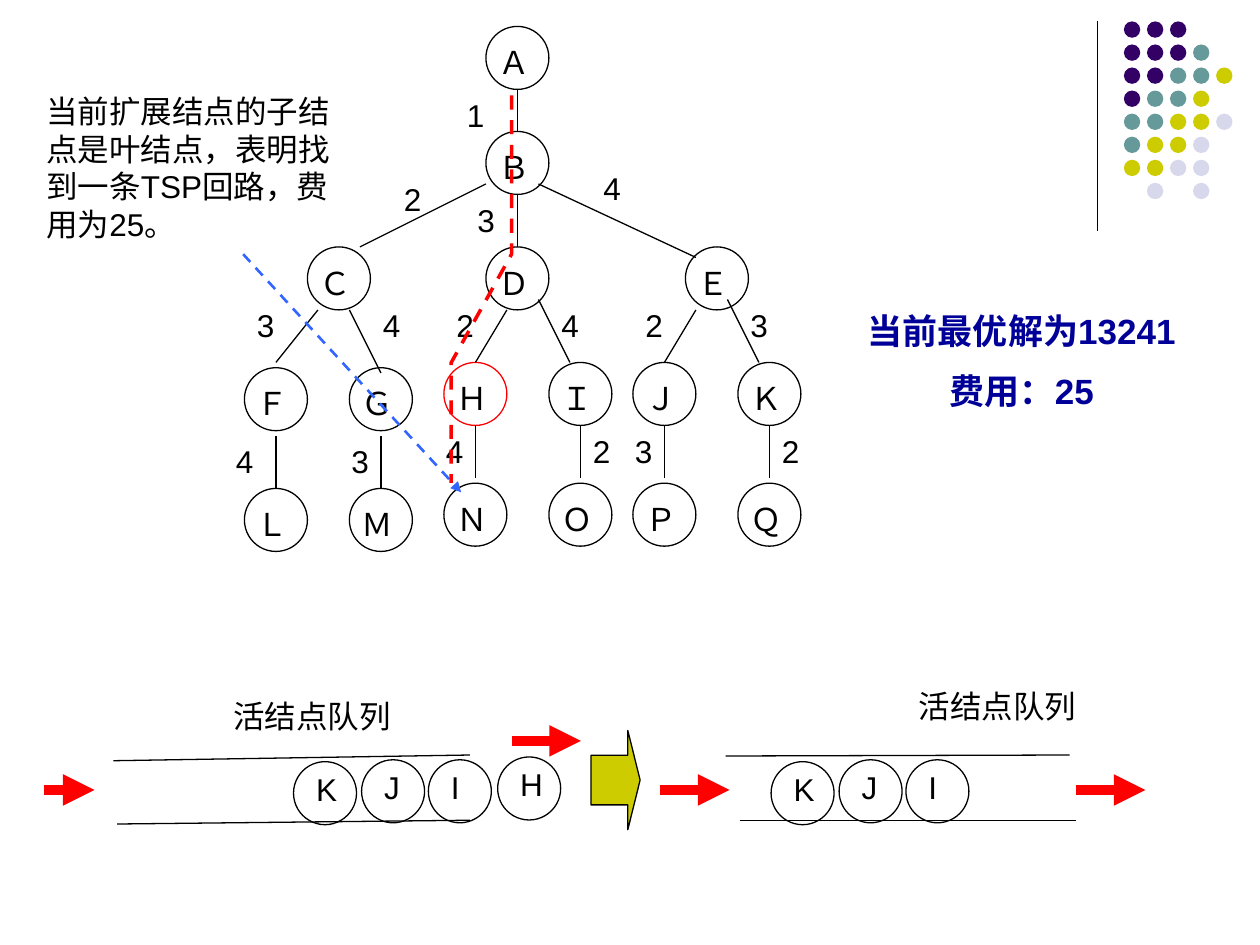
"""Draw a branch-and-bound search tree for TSP with its live-node queues."""
from dataclasses import dataclass

from lxml import etree
from pptx import Presentation
from pptx.dml.color import RGBColor
from pptx.enum.dml import MSO_LINE
from pptx.enum.shapes import MSO_CONNECTOR, MSO_SHAPE
from pptx.enum.text import MSO_AUTO_SIZE, PP_ALIGN
from pptx.oxml.ns import qn
from pptx.util import Emu, Inches, Pt

STRAIGHT = MSO_CONNECTOR.STRAIGHT
OVAL, BLOCK_ARROW = MSO_SHAPE.OVAL, MSO_SHAPE.RIGHT_ARROW
DASH = MSO_LINE.DASH
LEFT, CENTER = PP_ALIGN.LEFT, PP_ALIGN.CENTER
GROW = MSO_AUTO_SIZE.SHAPE_TO_FIT_TEXT
FONT = "Arial"
COLORS = {"black": "000000", "red": "FF0000", "blue": "3366FF", "navy": "000099",
          "purple": "330066", "teal": "669999", "olive": "CCCC00", "lilac": "D8D8EC"}


@dataclass(frozen=True)
class Grid:
    left: float
    top: float
    column: float
    row: float

    def point(self, x: float, y: float) -> tuple[Emu, Emu]:
        return Inches(self.left + x * self.column), Inches(self.top + y * self.row)

    def size(self, width: float, height: float) -> tuple[Emu, Emu]:
        return Inches(width * self.column), Inches(height * self.row)


@dataclass(frozen=True)
class Node:
    letter: str
    x: float
    y: float
    color: str = "black"


@dataclass(frozen=True)
class Line:
    start: tuple[float, float]
    end: tuple[float, float]
    color: str = "black"
    width: float = 0.75
    dashed: bool = False
    arrow: bool = False


@dataclass(frozen=True)
class Label:
    text: str
    x: float
    y: float
    width: float
    height: float
    align: int = LEFT
    size: int = 18
    color: str = "black"
    bold: bool = False


PERCENT = Grid(0, 0, 0.1, 0.075)
TREE = Grid(1.94, 0.21, 1 / 12, 1 / 12)
DOTS = Grid(8.92, 0.17, 0.183, 0.183)

DOT_ROWS = ["ppp", "pppt", "pptto", "ptto", "ttool", "tool", "ooll", " l l"]
DOT_COLORS = {"p": "purple", "t": "teal", "o": "olive", "l": "lilac"}

TREE_NODES = [
    Node("Ａ", 23, 0), Node("Ｂ", 23, 10),
    Node("Ｃ", 6, 21), Node("Ｄ", 23, 21), Node("Ｅ", 42, 21),
    Node("Ｆ", 0, 32.5), Node("Ｇ", 10, 32.5), Node("Ｈ", 19, 32, "red"),
    Node("Ｉ", 29, 32), Node("Ｊ", 37, 32), Node("Ｋ", 47, 32),
    Node("Ｌ", 0, 44), Node("Ｍ", 10, 44), Node("Ｎ", 19, 43.5),
    Node("Ｏ", 29, 43.5), Node("Ｐ", 37, 43.5), Node("Ｑ", 47, 43.5)]
EDGES = [
    Line((26, 6), (26, 10)), Line((26, 16), (26, 21)), Line((23, 15), (11, 21)),
    Line((43, 22), (28, 15)), Line((25, 27), (22, 32)), Line((7, 27), (3, 32)),
    Line((43, 27), (40, 32)), Line((49, 32), (46, 26)), Line((31, 32), (28, 26)),
    Line((13, 33), (10, 27)),
    *(Line((x, 39), (x, 44)) for x in (3, 13)),
    *(Line((x, 38), (x, 43)) for x in (22, 32, 40, 50))]
WEIGHTS = [
    ("1", 20, 6), ("3", 21, 16), ("4", 33, 13), ("2", 14, 14),
    ("3", 0, 26), ("4", 12, 26), ("2", 19, 26), ("4", 29, 26), ("2", 37, 26), ("3", 47, 26),
    ("4", -2, 39), ("3", 9, 39), ("4", 18, 38), ("2", 32, 38), ("3", 36, 38), ("2", 50, 38)]

QUEUE_NODES = [
    Node("K", 23.3, 80.6), Node("J", 28.7, 80.4), Node("I", 34, 80.4), Node("H", 39.5, 80.1),
    Node("K", 61.2, 80.6), Node("J", 66.6, 80.4), Node("I", 71.9, 80.4)]
QUEUE_LINES = [
    Line((9, 80.5), (37.3, 79.9)), Line((9.3, 87.2), (37.3, 86.8)),
    Line((57.6, 80), (84.9, 79.9)), Line((58.7, 86.8), (85.4, 86.8))]
QUEUE_ARROWS = [
    Line((x, y), (x + length, y), "red", 6, arrow=True)
    for x, y, length in ((40.6, 78.4, 5.5), (3.5, 83.6, 4), (52.4, 83.6, 5.5), (85.4, 83.6, 5.5))]

RULE = Line((87.1, 2.27), (87.1, 24.4))
POINTER = Line((19.3, 26.9), (36.6, 52.1), "blue", 1.5, dashed=True, arrow=True)
BEST_PATH = [(40.6, 10.1), (40.6, 15.3), (40.6, 26.9), (35.8, 38.4), (35.8, 51.1)]
CAPTIONS = [
    Label("活结点队列", 16.1, 73.1, 17.3, 5.33, CENTER),
    Label("活结点队列", 70.5, 72, 17.3, 5.33, CENTER),
    Label("当前扩展结点的子结点是叶结点，表明找到一条TSP回路，费用为25。", 2.7, 9.07, 26, 17.3),
    Label("当前最优解为13241\n费用：25", 67.3, 32.1, 27.6, 12.4, CENTER, 20, "navy", True)]


def rgb(name: str) -> RGBColor:
    return RGBColor.from_string(COLORS[name])


def draw_shape(slide, grid: Grid, kind: int, x: float, y: float, width: float, height: float,
               fill: str | None = None, outline: str | None = None):
    shape = slide.shapes.add_shape(kind, *grid.point(x, y), *grid.size(width, height))
    shape.shadow.inherit = False
    if fill:
        shape.fill.solid()
        shape.fill.fore_color.rgb = rgb(fill)
    else:
        shape.fill.background()
    if outline:
        shape.line.color.rgb = rgb(outline)
        shape.line.width = Pt(0.75)
    else:
        shape.line.fill.background()
    return shape


def draw_line(slide, grid: Grid, line: Line) -> None:
    connector = slide.shapes.add_connector(STRAIGHT, *grid.point(*line.start), *grid.point(*line.end))
    connector.line.color.rgb = rgb(line.color)
    connector.line.width = Pt(line.width)
    if line.dashed:
        connector.line.dash_style = DASH
    if line.arrow:
        etree.SubElement(connector.line._get_or_add_ln(), qn("a:tailEnd"), type="triangle")
    etree.SubElement(connector._element.spPr, qn("a:effectLst"))


def draw_label(slide, grid: Grid, label: Label) -> None:
    box = slide.shapes.add_textbox(*grid.point(label.x, label.y), *grid.size(label.width, label.height))
    frame = box.text_frame
    frame.text = label.text
    frame.word_wrap = True
    frame.auto_size = GROW
    for index, paragraph in enumerate(frame.paragraphs):
        paragraph.alignment = label.align
        if index:
            paragraph.space_before = Pt(label.size / 2)
        for run in paragraph.runs:
            run.font.name = FONT
            run.font.size = Pt(label.size)
            run.font.bold = label.bold
            run.font.color.rgb = rgb(label.color)


def draw_node(slide, grid: Grid, node: Node, diameter: tuple[float, float],
              offset: tuple[float, float], letter_size: tuple[float, float]) -> None:
    draw_shape(slide, grid, OVAL, node.x, node.y, *diameter, outline=node.color)
    draw_label(slide, grid, Label(node.letter, node.x + offset[0], node.y + offset[1], *letter_size))


def draw_best_path(slide) -> None:
    start, *rest = (PERCENT.point(*corner) for corner in BEST_PATH)
    builder = slide.shapes.build_freeform(*start)
    builder.add_line_segments(rest, close=False)
    path = builder.convert_to_shape()
    path.shadow.inherit = False
    path.fill.background()
    path.line.color.rgb = rgb("red")
    path.line.width = Pt(2)
    path.line.dash_style = DASH


def main() -> None:
    deck = Presentation()
    deck.slide_width, deck.slide_height = Inches(10), Inches(7.5)
    slide = deck.slides.add_slide(deck.slide_layouts[6])
    draw_line(slide, PERCENT, RULE)
    for row, codes in enumerate(DOT_ROWS):
        for column, code in enumerate(codes):
            if code in DOT_COLORS:
                draw_shape(slide, DOTS, OVAL, column, row, 0.71, 0.71, DOT_COLORS[code])
    for node in TREE_NODES:
        draw_node(slide, TREE, node, (6, 6), (0, 1), (5, 4.8))
    for edge in EDGES:
        draw_line(slide, TREE, edge)
    for weight, x, y in WEIGHTS:
        draw_label(slide, TREE, Label(weight, x, y, 4, 4.8))
    for line in QUEUE_LINES + QUEUE_ARROWS:
        draw_line(slide, PERCENT, line)
    block = draw_shape(slide, PERCENT, BLOCK_ARROW, 46.9, 77.3, 3.9, 10.5, "olive", "black")
    block.adjustments[0], block.adjustments[1] = 0.5, 0.25
    for node in QUEUE_NODES:
        draw_node(slide, PERCENT, node, (5, 6.67), (0.8, 0.2), (4.2, 5.33))
    draw_line(slide, PERCENT, POINTER)
    draw_best_path(slide)
    for caption in CAPTIONS:
        draw_label(slide, PERCENT, caption)
    deck.save("out.pptx")


if __name__ == "__main__":
    main()
